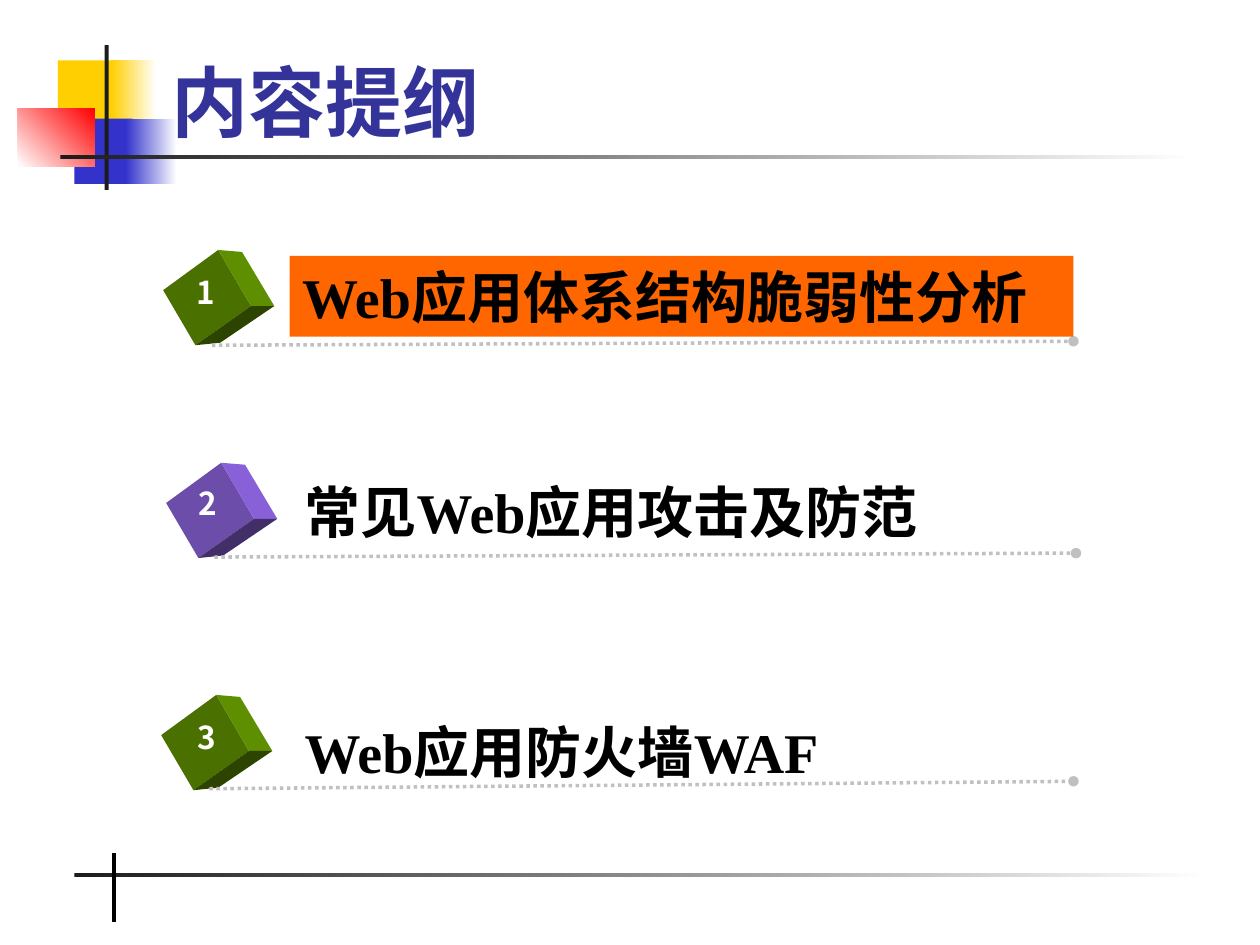
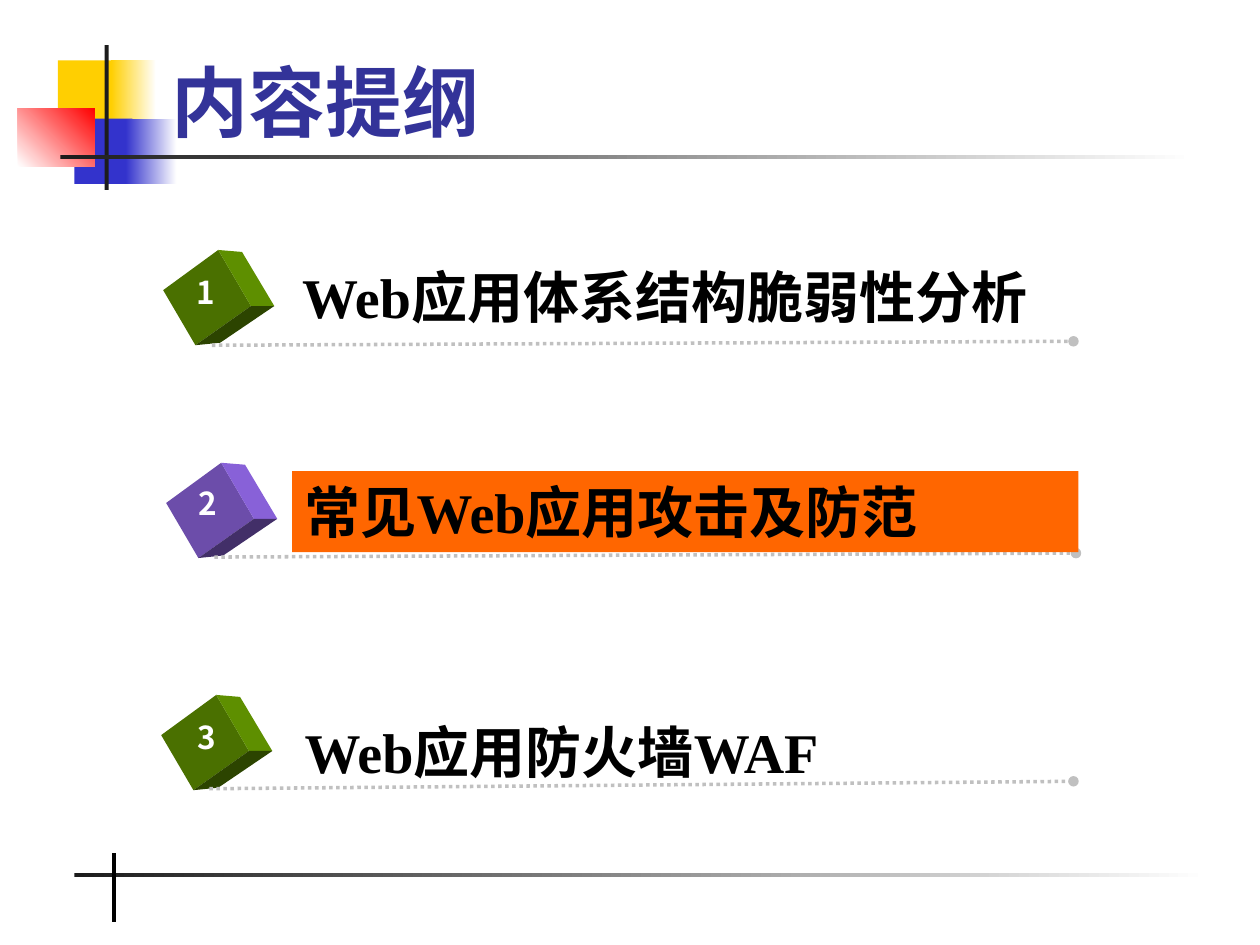
from lxml import etree
from pptx import Presentation
from pptx import util as u
from pptx.dml.color import RGBColor
from pptx.enum import dml, shapes, text
from pptx.oxml.ns import qn

TITLE = "内容提纲"
ITEMS = [
    dict(label="Web应用体系结构脆弱性分析", tone="green", cube=(3.29, 5.04),
         number=(3.71, 5.38), box=(5.84, 5.16, 15.8, 1.63),
         rule=(4.27, 6.96, 21.64, 6.88)),
    dict(label="常见Web应用攻击及防范", tone="purple", cube=(3.35, 9.33),
         number=(3.76, 9.63), box=(5.89, 9.5, 15.85, 1.63),
         rule=(4.32, 11.23, 21.69, 11.15)),
    dict(label="Web应用防火墙WAF", tone="green", cube=(3.25, 14.01),
         number=(3.73, 14.35), box=(5.89, 14.33, 15.8, 1.6),
         rule=(4.22, 15.9, 21.64, 15.75)),
]
CURRENT_ITEMS = [0, 1]

THEME = dict(
    yellow="FFCF01", blue="3333CC", red="FF0000", white="FFFFFF",
    ink="1C1C1C", black="000000", rule="C0C0C0", highlight="FF6600",
    title="333399",
    green=("4A7000", "5E8F00", "2C4400"),
    purple=("6C4DAA", "8861D8", "422F68"),
    serif="Times New Roman", cjk="Noto Sans CJK SC",
)
FORMATS = dict(
    title=dict(name=THEME["serif"], size=u.Pt(44), bold=True),
    label=dict(name=THEME["serif"], size=u.Pt(32), bold=True),
    number=dict(name=THEME["cjk"], size=u.Pt(18), bold=True),
)
DECOR = [
    ((1.17, 1.22, 1.22, 1.32), ("yellow",), 0),
    ((2.24, 1.22, 0.91, 1.32), ("yellow", "white"), 0),
    ((1.5, 2.39, 1.17, 1.32), ("blue",), 0),
    ((2.54, 2.39, 1.02, 1.32), ("blue", "white"), 0),
    ((0.36, 2.18, 1.55, 1.17), ("white", "red"), 45),
    ((2.11, 0.91, 0.08, 2.92), ("ink",), 0),
    ((1.22, 3.12, 22.86, 0.08), ("ink", "white"), 0),
    ((1.5, 17.6, 22.86, 0.08), ("ink", "white"), 0),
]
CUBE_FACES = [
    [(0, 0.81), (1.11, 0), (1.77, 1.13), (0.65, 1.92)],
    [(1.11, 0), (1.59, 0.04), (2.24, 1.13), (1.77, 1.13)],
    [(1.77, 1.13), (2.24, 1.13), (1.15, 1.87), (0.65, 1.92)],
]


def rgb(value):
    return RGBColor.from_string(value)


def cm(values):
    return [u.Cm(v) for v in values]


def paint(s, colors, angle=0):
    s.shadow.inherit = False
    s.line.fill.background()
    if len(colors) == 1:
        s.fill.solid()
        s.fill.fore_color.rgb = rgb(colors[0])
        return
    s.fill.gradient()
    s.fill.gradient_angle = angle
    for stop, color in zip(s.fill.gradient_stops, colors):
        stop.color.rgb = rgb(color)


def add_line(slide, ends, color, width, dotted=False):
    s = slide.shapes.add_connector(shapes.MSO_CONNECTOR.STRAIGHT, *cm(ends))
    s.line.color.rgb = rgb(color)
    s.line.width = u.Pt(width)
    etree.SubElement(s._element.spPr, qn("a:effectLst"))
    if dotted:
        s.line.dash_style = dml.MSO_LINE.ROUND_DOT
        etree.SubElement(s.line._get_or_add_ln(), qn("a:tailEnd"), type="oval")


def add_text(slide, box, words, style, color, **frame):
    s = slide.shapes.add_textbox(*cm(box))
    tf = s.text_frame
    for key, value in {"word_wrap": True, **frame}.items():
        setattr(tf, key, value)
    p = tf.paragraphs[0]
    r = p.add_run()
    r.text = words
    for key, value in FORMATS[style].items():
        setattr(r.font, key, value)
    r.font.color.rgb = rgb(color)
    etree.SubElement(r._r.get_or_add_rPr(), qn("a:ea"), typeface=THEME["cjk"])
    return s


def add_cube(slide, origin, tones):
    for face, tone in zip(CUBE_FACES, tones):
        points = [cm((origin[0] + x, origin[1] + y)) for x, y in face]
        builder = slide.shapes.build_freeform(*points[0])
        builder.add_line_segments(points[1:], close=True)
        paint(builder.convert_to_shape(), [tone])


def add_frame(slide):
    for box, names, angle in DECOR:
        s = slide.shapes.add_shape(shapes.MSO_SHAPE.RECTANGLE, *cm(box))
        paint(s, [THEME[n] for n in names], angle)
    add_line(slide, (2.29, 17.2, 2.29, 18.59), THEME["black"], 2.25)
    add_text(slide, (3.2, 0.41, 21.64, 2.67), TITLE, "title", THEME["title"],
             vertical_anchor=text.MSO_ANCHOR.BOTTOM)


def add_item(slide, number, item, current):
    add_cube(slide, item["cube"], THEME[item["tone"]])
    s = add_text(slide, (*item["number"], 0.84, 1.02), str(number), "number",
                 THEME["white"], word_wrap=False,
                 auto_size=text.MSO_AUTO_SIZE.SHAPE_TO_FIT_TEXT)
    s.text_frame.paragraphs[0].alignment = text.PP_ALIGN.CENTER
    add_line(slide, item["rule"], THEME["rule"], 2, dotted=True)
    s = add_text(slide, item["box"], item["label"], "label", THEME["black"],
                 auto_size=text.MSO_AUTO_SIZE.SHAPE_TO_FIT_TEXT)
    if current:
        paint(s, [THEME["highlight"]])


def main():
    prs = Presentation()
    prs.slide_width, prs.slide_height = cm((25.4, 19.05))
    for current in CURRENT_ITEMS:
        slide = prs.slides.add_slide(prs.slide_layouts[6])
        add_frame(slide)
        for i, item in enumerate(ITEMS):
            add_item(slide, i + 1, item, i == current)
    prs.save("out.pptx")


if __name__ == "__main__":
    main()
